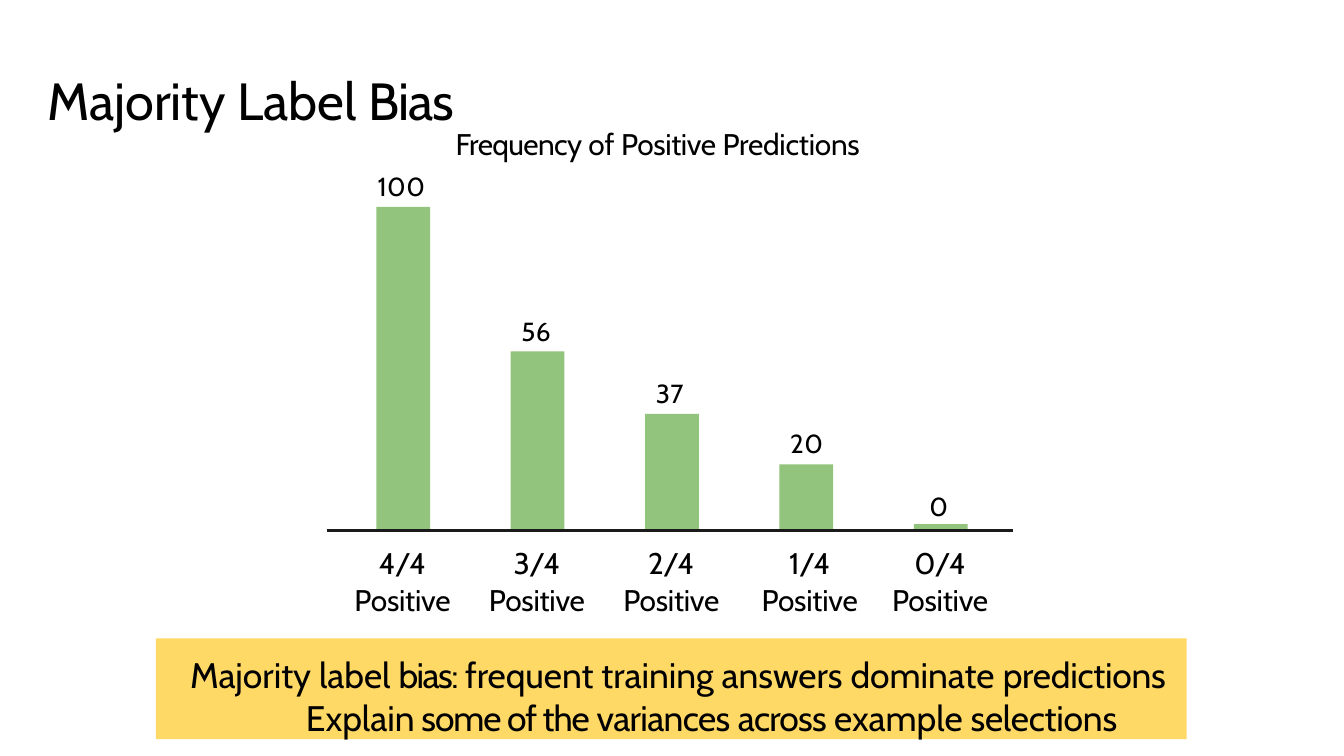
from dataclasses import dataclass

from lxml.etree import SubElement
from pptx import Presentation
from pptx.dml.color import RGBColor
from pptx.enum.shapes import MSO_CONNECTOR, MSO_SHAPE
from pptx.enum.text import MSO_ANCHOR, PP_ALIGN
from pptx.oxml.ns import qn
from pptx.shapes.autoshape import Shape
from pptx.slide import Slide
from pptx.util import Emu, Pt

PX = 4572
FONT = "Cabin"
COLORS = {"text": "000000", "bar": "93C47D", "axis": "1A1A1A", "banner": "FFD966"}


@dataclass(frozen=True)
class Span:
    text: str
    spacing: float = 0


@dataclass(frozen=True)
class Para:
    spans: tuple[Span, ...]
    size: int
    align: PP_ALIGN = PP_ALIGN.LEFT
    indent: int = 0
    before: float = 0
    level: int = 0


@dataclass(frozen=True)
class Frame:
    left: int
    top: int
    width: int
    height: int

    def emu(self) -> tuple[Emu, ...]:
        return tuple(Emu(side * PX) for side in (self.left, self.top, self.width, self.height))


@dataclass(frozen=True)
class Bar:
    label: str
    top: int
    indent: int = 0


BARS = (Bar("4/4", 308), Bar("3/4", 523), Bar("2/4", 616), Bar("1/4", 691, 12), Bar("0/4", 780))
BAR_LEFT, BAR_WIDTH, BAR_STEP, BASELINE = 560, 80, 200, 790


def color(name: str) -> RGBColor:
    return RGBColor.from_string(COLORS[name])


def write(box: Shape, paras: tuple[Para, ...], inset: int) -> None:
    frame = box.text_frame
    frame.word_wrap = True
    frame.vertical_anchor = MSO_ANCHOR.TOP
    frame.margin_left = frame.margin_right = frame.margin_bottom = 0
    frame.margin_top = Emu(inset * PX)
    for index, para in enumerate(paras):
        paragraph = frame.add_paragraph() if index else frame.paragraphs[0]
        paragraph.alignment = para.align
        paragraph.level = para.level
        properties = paragraph._p.get_or_add_pPr()
        properties.set("marL", str(para.indent * PX))
        properties.set("indent", "0")
        if para.before:
            paragraph.space_before = Pt(para.before)
        paragraph.font.name = FONT
        paragraph.font.size = Pt(para.size)
        paragraph.font.color.rgb = color("text")
        for span in para.spans:
            run = paragraph.add_run()
            run.text = span.text
            if span.spacing:
                run._r.get_or_add_rPr().set("spc", str(round(span.spacing * 100)))


def add_text(page: Slide, frame: Frame, paras: tuple[Para, ...], inset: int = 2) -> None:
    write(page.shapes.add_textbox(*frame.emu()), paras, inset)


def paint(shape: Shape, fill: str) -> None:
    shape.shadow.inherit = False
    shape.fill.solid()
    shape.fill.fore_color.rgb = color(fill)
    shape.line.fill.background()


def add_bars(page: Slide) -> None:
    builder = page.shapes.build_freeform(BAR_LEFT, BARS[0].top, scale=PX)
    for index, bar in enumerate(BARS):
        left = BAR_LEFT + index * BAR_STEP
        right = left + BAR_WIDTH
        if index:
            builder.move_to(left, bar.top)
        builder.add_line_segments([(left, BASELINE), (right, BASELINE), (right, bar.top)])
    paint(builder.convert_to_shape(), "bar")


def add_axis(page: Slide) -> None:
    ends = (Emu(x * PX) for x in (486, BASELINE, 1508, BASELINE))
    axis = page.shapes.add_connector(MSO_CONNECTOR.STRAIGHT, *ends)
    axis.line.color.rgb = color("axis")
    axis.line.width = Pt(1.5)
    SubElement(axis._element.spPr, qn("a:effectLst"))


def add_categories(page: Slide) -> None:
    for index, bar in enumerate(BARS):
        add_text(page, Frame(520 + index * BAR_STEP, 809, 158, 114), (
            Para((Span(bar.label, -0.2),), 16, PP_ALIGN.CENTER, bar.indent),
            Para((Span("Positive", -0.1),), 16, PP_ALIGN.CENTER, bar.indent, 0.3),
        ))


def add_banner(page: Slide) -> None:
    banner = page.shapes.add_shape(MSO_SHAPE.RECTANGLE, *Frame(232, 950, 1534, 150).emu())
    paint(banner, "banner")
    write(banner, (
        Para((Span("Majority label "), Span("bias: ", -0.8),
              Span("frequent training answers dominate "), Span("predictions", -0.1)),
             19, PP_ALIGN.CENTER, 20),
        Para((Span("Explain"), Span(" some of the ", -0.6), Span("variances ", -0.3),
              Span("across ", -0.4), Span("example "), Span("selections", -0.1)),
             19, PP_ALIGN.CENTER, 120, level=1),
    ), 22)


def main() -> None:
    deck = Presentation()
    deck.slide_width, deck.slide_height = Emu(2000 * PX), Emu(1125 * PX)
    page = deck.slides.add_slide(deck.slide_layouts[6])
    add_text(page, Frame(68, 98, 1864, 126),
             (Para((Span("Majority Label "), Span("Bias", -0.5)), 28, indent=2),), 3)
    add_text(page, Frame(560, 169, 766, 136), (
        Para((Span("Frequency ", -0.3), Span("of "), Span("Positive ", -0.2),
              Span("Predictions", -0.1)), 16, indent=118),
        Para((Span("100", 0.2),), 14, indent=2, before=5),
    ), 18)
    add_bars(page)
    add_axis(page)
    add_text(page, Frame(774, 467, 637, 312), (
        Para((Span("56", 0.2),), 14, indent=2),
        Para((Span("37", 0.2),), 14, indent=202, before=16.6),
        Para((Span("20", 0.2),), 14, indent=402, before=10.2),
        Para((Span("0", 0.6),), 14, PP_ALIGN.RIGHT, before=16.6),
    ))
    add_categories(page)
    add_banner(page)
    deck.save("out.pptx")


if __name__ == "__main__":
    main()
